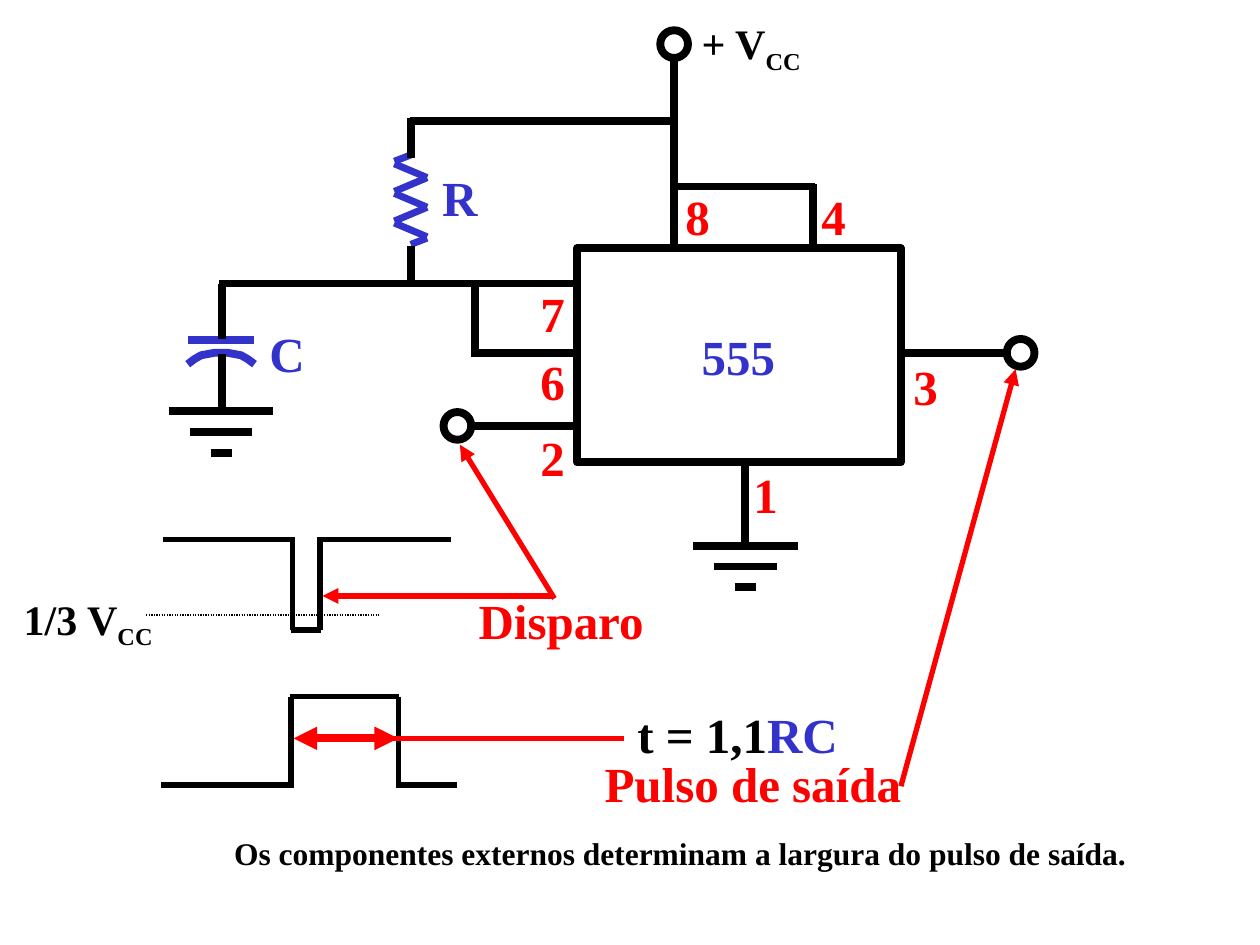
from lxml.etree import SubElement
from pptx import Presentation
from pptx.dml.color import RGBColor
from pptx.enum.dml import MSO_LINE
from pptx.enum.shapes import MSO_CONNECTOR, MSO_SHAPE
from pptx.enum.text import MSO_AUTO_SIZE
from pptx.oxml.ns import qn
from pptx.util import Inches, Pt

BLACK = RGBColor(0x00, 0x00, 0x00)
WHITE = RGBColor(0xFF, 0xFF, 0xFF)
RED = RGBColor(0xFF, 0x00, 0x00)
BLUE = RGBColor(0x33, 0x33, 0xCC)
FONT = "Times New Roman"
WIRE, SIGNAL = 4.5, 3  # line widths in points


def draw_line(slide, start, end, color=BLACK, width=WIRE, arrows=()):
    """Draw a straight line; arrows may hold "headEnd" (start) and "tailEnd" (end)."""
    line = slide.shapes.add_connector(
        MSO_CONNECTOR.STRAIGHT, *map(Inches, (*start, *end)))
    line.line.color.rgb = color
    line.line.width = Pt(width)
    for arrow in arrows:
        SubElement(line.line._get_or_add_ln(), qn(f"a:{arrow}"), type="triangle")
    SubElement(line._element.spPr, qn("a:effectLst"))
    return line


def add_label(slide, left, top, width, text, color=BLACK, size=28, height=0.57,
              subscript="", suffix=""):
    """Place one line of bold text, with an optional subscript or blue suffix."""
    box = slide.shapes.add_textbox(*map(Inches, (left, top, width, height)))
    frame = box.text_frame
    frame.word_wrap = False
    frame.auto_size = MSO_AUTO_SIZE.SHAPE_TO_FIT_TEXT
    paragraph = frame.paragraphs[0]
    font = paragraph.font
    font.name, font.size, font.bold = FONT, Pt(size), True
    paragraph.add_run().text = text
    paragraph.runs[0].font.color.rgb = color
    if subscript:
        run = paragraph.add_run()
        run.text = subscript
        run.font.color.rgb = color
        run._r.get_or_add_rPr().set("baseline", "-25000")
    if suffix:
        run = paragraph.add_run()
        run.text = suffix
        run.font.color.rgb = BLUE


def outline(shape, color=BLACK):
    shape.shadow.inherit = False
    shape.line.color.rgb = color
    shape.line.width = Pt(WIRE)


def add_terminal(slide, left, top, size=0.22):
    ring = slide.shapes.add_shape(
        MSO_SHAPE.OVAL, *map(Inches, (left, top, size, size)))
    ring.fill.background()
    outline(ring)


def add_ground(slide, left, top, width=0.83):
    """Three centred bars that shorten by equal steps."""
    step = width / 5
    for i in range(3):
        y = top + i * step
        draw_line(slide, (left + i * step, y), (left + width - i * step, y))


def add_resistor(slide, left, top, width=0.26):
    right, middle, pitch = left + width, left + width / 2, 0.235
    strokes = [((left, top + 0.05), (middle, top)),
               ((middle, top + 0.71), (right, top + 0.66))]
    for i in range(3):
        y = top + i * pitch
        strokes.append(((right, y + 0.18), (left, y + 0.07)))
        if i < 2:
            strokes.append(((left, y + 0.29), (right, y + 0.18)))
    for start, end in strokes:
        draw_line(slide, start, end, BLUE, 4)
    add_label(slide, left + 0.28, top + 0.05, 0.48, "R", BLUE)


def add_capacitor(slide, left, top, width=0.53):
    draw_line(slide, (left, top), (left + width, top), BLUE)
    rises = [0.19, 0.15, 0.12, 0.11, 0.1, 0.1, 0.1, 0.11, 0.12, 0.15, 0.19]
    step = width / (len(rises) - 1)
    curve = [(Inches(left + i * step), Inches(top + rise))
             for i, rise in enumerate(rises)]
    builder = slide.shapes.build_freeform(*curve[0], scale=1.0)
    builder.add_line_segments(curve[1:], close=False)
    plate = builder.convert_to_shape()
    plate.fill.background()
    outline(plate, BLUE)
    add_label(slide, left + 0.55, top - 0.18, 0.48, "C", BLUE)


def add_timer(slide, left, top, width, height):
    """The timer chip with its pin numbers."""
    chip = slide.shapes.add_shape(
        MSO_SHAPE.RECTANGLE, *map(Inches, (left, top, width, height)))
    chip.fill.solid()
    chip.fill.fore_color.rgb = WHITE
    outline(chip)
    add_label(slide, left + 0.89, top + 0.57, 0.78, "555", BLUE)
    pins = {"8": (0.76, -0.54), "4": (1.84, -0.54), "7": (-0.39, 0.23),
            "6": (-0.39, 0.77), "2": (-0.39, 1.37), "3": (width, 0.81),
            "1": (1.3, height - 0.03)}
    for pin, (dx, dy) in pins.items():
        add_label(slide, left + dx, top + dy, 0.39, pin, RED)


def add_circuit(slide, left, top):
    """The monostable circuit, from the ground at the left to the output."""
    def at(x, y):
        return left + x, top + y

    add_resistor(slide, *at(1.79, 0.99))
    add_capacitor(slide, *at(0.15, 2.46))
    add_ground(slide, *at(0, 3.02))
    add_ground(slide, *at(4.16, 4.09))
    add_timer(slide, *at(3.24, 1.73), 2.57, 1.7)
    wires = [
        ((0.42, 2.57), (0.42, 3.03)), ((0.42, 2.45), (0.42, 2.01)),
        ((0.4, 2.01), (3.22, 2.01)), ((2.4, 3.14), (3.22, 3.14)),
        ((2.44, 2.56), (3.24, 2.56)), ((2.43, 2.59), (2.43, 2.03)),
        ((1.91, 0.72), (4.01, 0.72)), ((4.01, 1.7), (4.01, 0.21)),
        ((4.01, 1.24), (5.13, 1.24)), ((5.11, 1.22), (5.11, 1.74)),
        ((5.82, 2.56), (6.64, 2.56)), ((1.92, 1.01), (1.92, 0.7)),
        ((1.92, 1.71), (1.92, 2.03)), ((4.57, 4.08), (4.57, 3.45)),
    ]
    for start, end in wires:
        draw_line(slide, at(*start), at(*end))
    for terminal in ((2.18, 3.03), (3.9, 0), (6.65, 2.45)):
        add_terminal(slide, *at(*terminal))
    add_label(slide, *at(4.13, -0.15), 0.99, "+ V", size=24, height=0.56,
              subscript="CC")


def add_pulse(slide, left, base, rise, fall, right, level):
    """A pulse that leaves the base line at rise and returns to it at fall."""
    lap = 0.02 if level > base else -0.02  # closes the corners
    edges = [((left, base), (rise + 0.01, base)),
             ((rise, base - lap), (rise, level)),
             ((rise - 0.01, level), (fall + 0.01, level)),
             ((fall, level), (fall, base - lap)),
             ((fall, base), (right, base))]
    for start, end in edges:
        draw_line(slide, start, end, width=SIGNAL)


def add_trigger(slide, left, top):
    """The trigger pulse, its threshold and the arrows that point to it."""
    add_pulse(slide, left, top, left + 1.03, left + 1.25, left + 2.29, top + 0.72)
    add_label(slide, left + 2.41, top + 0.36, 1.51, "Disparo", RED)
    corner = left + 3.11
    for start, end in [((corner, top + 0.47), (left + 2.36, top - 0.75)),
                       ((corner, top + 0.45), (left + 1.27, top + 0.45))]:
        draw_line(slide, start, end, RED, SIGNAL, ["tailEnd"])
    threshold = draw_line(slide, (left - 0.13, top + 0.6), (left + 1.72, top + 0.6),
                          width=0.75)
    threshold.line.dash_style = MSO_LINE.ROUND_DOT
    add_label(slide, left - 1.2, top + 0.38, 1.23, "1/3 V", size=24, height=0.56,
              subscript="CC")


def add_output(slide, left, top):
    """The output pulse with its duration."""
    add_pulse(slide, left, top + 0.7, left + 1.03, left + 1.88, left + 2.35, top)
    span = top + 0.33
    draw_line(slide, (left + 1.05, span), (left + 1.88, span), RED, WIRE,
              ["headEnd", "tailEnd"])
    draw_line(slide, (left + 1.66, span), (left + 3.67, span), RED, SIGNAL)
    add_label(slide, left + 3.68, top + 0.01, 1.79, "t = 1,1", suffix="RC")
    add_label(slide, left + 3.42, top + 0.4, 2.55, "Pulso de saída", RED)
    draw_line(slide, (left + 5.87, top + 0.71), (left + 6.78, top - 2.6),
              RED, SIGNAL, ["tailEnd"])


def main():
    prs = Presentation()
    prs.slide_width, prs.slide_height = Inches(10), Inches(7.5)
    slide = prs.slides.add_slide(prs.slide_layouts[6])
    add_circuit(slide, 1.34, 0.24)
    add_trigger(slide, 1.29, 4.28)
    add_output(slide, 1.28, 5.53)
    add_label(slide, 1.76, 6.57, 7.28,
              "Os componentes externos determinam a largura do pulso de saída.",
              size=18, height=0.4)
    prs.save("out.pptx")


if __name__ == "__main__":
    main()
